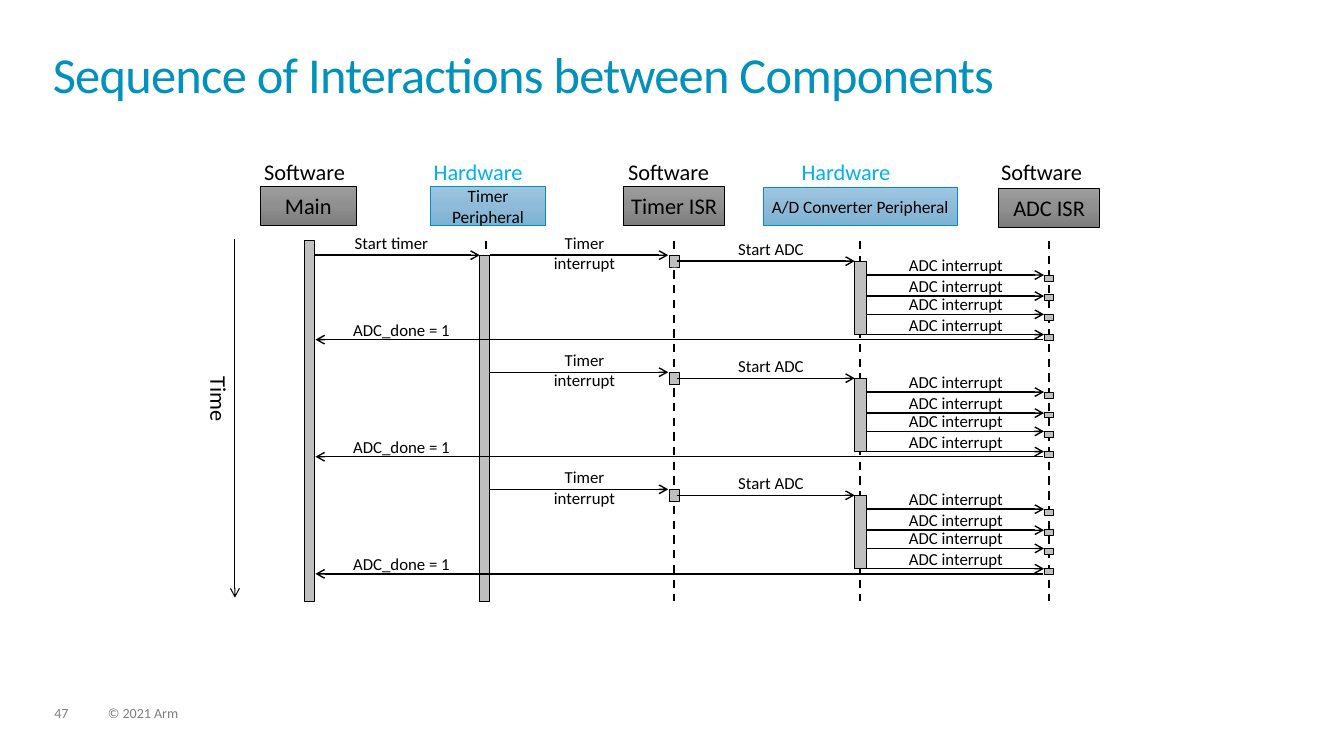
"""Build a sequence diagram of timer and ADC interactions."""
import copy

import pptx
import pptx.dml.color
import pptx.enum.dml
import pptx.enum.shapes
import pptx.enum.text
import pptx.oxml
import pptx.oxml.ns
import pptx.util

Cm = pptx.util.Cm
Pt = pptx.util.Pt
RGBColor = pptx.dml.color.RGBColor
ALIGN = pptx.enum.text.PP_ALIGN
RECTANGLE = pptx.enum.shapes.MSO_SHAPE.RECTANGLE

BLACK = RGBColor(0x00, 0x00, 0x00)
BAR_GREY = RGBColor(0xBF, 0xBF, 0xBF)
FOOTER_GREY = RGBColor(0x7F, 0x7F, 0x7F)
TITLE_BLUE = RGBColor(0x00, 0x91, 0xBD)
HARDWARE_BLUE = RGBColor(0x00, 0xB0, 0xF0)
GREY_SHADES = [RGBColor(0x9D, 0x9D, 0x9D), RGBColor(0x90, 0x90, 0x90), RGBColor(0x7C, 0x7C, 0x7C)]
BLUE_SHADES = [RGBColor(0x9D, 0xC6, 0xE1), RGBColor(0x90, 0xBB, 0xD8), RGBColor(0x7C, 0xB2, 0xD3)]
FONT = "Calibri"


def add_line(left, top, right, bottom, width, arrow=True):
    """Draw a solid line with an open arrowhead, or a dashed line without one."""
    line = page.shapes.add_connector(
        pptx.enum.shapes.MSO_CONNECTOR.STRAIGHT, Cm(left), Cm(top), Cm(right), Cm(bottom))
    line.line.color.rgb = BLACK
    line.line.width = Pt(width)
    if arrow:
        pptx.oxml.ns.qn("a:tailEnd")
        outline = line.line._get_or_add_ln()
        outline.append(pptx.oxml.parse_xml(
            '<a:tailEnd xmlns:a="http://schemas.openxmlformats.org/drawingml/2006/main" type="arrow"/>'))
    else:
        line.line.dash_style = pptx.enum.dml.MSO_LINE.DASH
    line._element.spPr.append(pptx.oxml.parse_xml(
        '<a:effectLst xmlns:a="http://schemas.openxmlformats.org/drawingml/2006/main"/>'))


def add_label(text, left, top, width, height, size=12, color=BLACK, align=ALIGN.CENTER, inset=0):
    """Add a one-line text box and return it."""
    box = page.shapes.add_textbox(Cm(left), Cm(top), Cm(width), Cm(height))
    frame = box.text_frame
    frame.word_wrap = False
    frame.margin_left = frame.margin_right = Cm(2 * inset)
    frame.margin_top = frame.margin_bottom = Cm(inset)
    para = frame.paragraphs[0]
    para.text = text
    para.alignment = align
    para.font.name = FONT
    para.font.size = Pt(size)
    para.font.color.rgb = color
    return box


deck = pptx.Presentation()
deck.slide_width = Cm(33.87)
deck.slide_height = Cm(19.05)
page = deck.slides.add_slide(deck.slide_layouts[5])

title = page.shapes.title
title.left, title.top, title.width, title.height = Cm(1.33), Cm(1.32), Cm(31.2), Cm(1.83)
frame = title.text_frame
frame.margin_left = frame.margin_right = frame.margin_top = frame.margin_bottom = 0
frame.vertical_anchor = pptx.enum.text.MSO_ANCHOR.TOP
frame.auto_size = pptx.enum.text.MSO_AUTO_SIZE.NONE
para = frame.paragraphs[0]
para.text = "Sequence of Interactions between Components"
para.alignment = ALIGN.LEFT
para.line_spacing = 0.85
para.font.name = FONT
para.font.size = Pt(36)
para.font.color.rgb = TITLE_BLUE
para.runs[0].font._element.set("spc", "-50")

for text, left, width in [("47", 1.37, 0.86), ("© 2021 Arm", 2.72, 12.88)]:
    footer = add_label(text, left, 17.81, width, 0.38, 10, FOOTER_GREY, ALIGN.LEFT)
    footer.text_frame.word_wrap = True
    footer.text_frame.paragraphs[0].line_spacing = 0.9

components = [
    ("Main", "Software", 6.55, 4.7, 2.44, 6.4),
    ("Timer Peripheral", "Hardware", 10.85, 4.7, 2.9, 10.67),
    ("Timer ISR", "Software", 15.72, 4.7, 2.54, 15.57),
    ("A/D Converter Peripheral", "Hardware", 19.23, 4.72, 4.9, 19.94),
    ("ADC ISR", "Software", 25.17, 4.75, 2.54, 24.97),
]
for name, kind, left, top, width, kind_left in components:
    hardware = kind == "Hardware"
    add_label(kind, kind_left, 3.86, 3.1 if hardware else 2.82, 1.04, 16,
              HARDWARE_BLUE if hardware else BLACK, ALIGN.LEFT, 0.13)
    box = page.shapes.add_shape(RECTANGLE, Cm(left), Cm(top), Cm(width), Cm(0.97))
    box.shadow.inherit = False
    box.fill.gradient()
    first_stop = box._element.spPr.find(".//" + pptx.oxml.ns.qn("a:gs"))
    first_stop.addnext(copy.deepcopy(first_stop))
    shades = BLUE_SHADES if hardware else GREY_SHADES
    for stop, shade, position in zip(box.fill.gradient_stops, shades, (0, 0.5, 1)):
        stop.color.rgb = shade
        stop.position = position
    box.fill.gradient_angle = 270
    box.line.color.rgb = TITLE_BLUE if hardware else BLACK
    box.line.width = Pt(0.5)
    frame = box.text_frame
    frame.margin_left = frame.margin_right = frame.margin_top = frame.margin_bottom = 0
    para = frame.paragraphs[0]
    para.text = name
    para.alignment = ALIGN.CENTER
    para.font.name = FONT
    para.font.size = Pt(12.4 if hardware else 16)
    para.font.color.rgb = BLACK

time_label = add_label("Time", 4.55, 9.63, 1.85, 1.04, 16, BLACK, ALIGN.LEFT, 0.13)
time_label.rotation = 90
add_line(5.92, 6.02, 5.92, 15.06, 0.75)

for center in (7.82, 12.24, 16.99, 21.67, 26.44):
    add_line(center, 6.07, center, 15.14, 1.5, arrow=False)

cycle_starts = [6.43 + 2.95 * cycle for cycle in range(3)]
interrupt_offsets = (0.5, 1.03, 1.49, 2)
bars = [(7.67, 6.05, 0.25, 9.1), (12.09, 6.43, 0.25, 8.73)]
for start in cycle_starts:
    bars.append((16.87, start, 0.25, 0.3))
    bars.append((21.54, start + 0.15, 0.3, 1.85))
    bars += [(26.31, start + 0.5 * number, 0.25, 0.15) for number in range(1, 5)]
for left, top, width, height in bars:
    bar = page.shapes.add_shape(RECTANGLE, Cm(left), Cm(top), Cm(width), Cm(height))
    bar.shadow.inherit = False
    bar.fill.solid()
    bar.fill.fore_color.rgb = BAR_GREY
    bar.line.color.rgb = BLACK
    bar.line.width = Pt(0.5)

add_line(7.95, 6.43, 12.09, 6.43, 1)
add_label("Start timer", 8.94, 5.87, 2.08, 0.53, align=ALIGN.LEFT)
for start in cycle_starts:
    add_line(12.34, start, 16.84, start, 1)
    add_label("Timer interrupt", 13.69, start - 0.56, 2.08, 0.53)
    add_line(17.07, start + 0.15, 21.54, start + 0.15, 1)
    add_label("Start ADC", 18.39, start - 0.41, 2.08, 0.53)
    for offset in interrupt_offsets:
        add_line(21.82, start + offset, 26.31, start + offset, 1)
        add_label("ADC interrupt", 22.58, start + offset - 0.51, 3.02, 0.51)
    add_line(26.29, start + 2.13, 7.95, start + 2.13, 1)
    add_label("ADC_done = 1", 8.61, start + 1.63, 3.02, 0.51)

deck.save("out.pptx")
